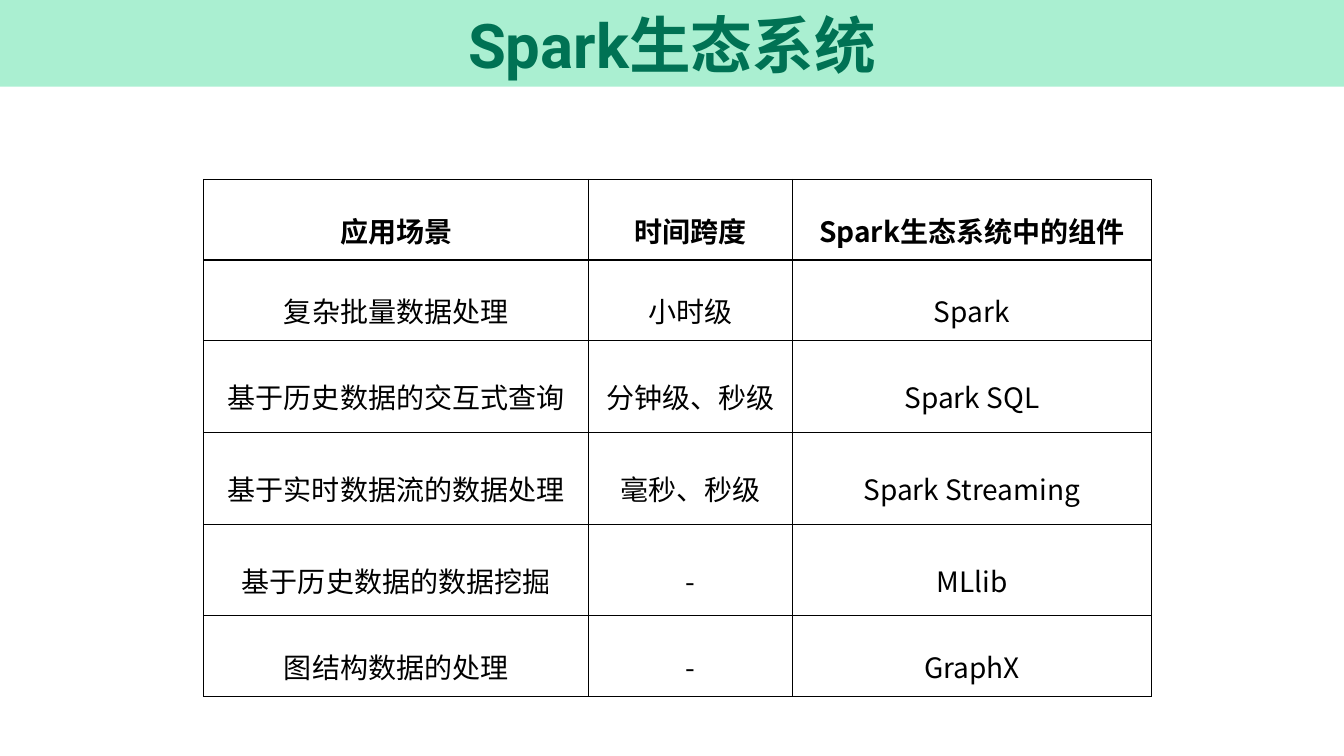
from lxml import etree
from pptx import Presentation
from pptx.dml.color import RGBColor
from pptx.enum.shapes import MSO_SHAPE
from pptx.enum.text import MSO_ANCHOR, PP_ALIGN
from pptx.oxml.ns import qn
from pptx.util import Inches, Pt

RECTANGLE = MSO_SHAPE.RECTANGLE
MIDDLE, BOTTOM = MSO_ANCHOR.MIDDLE, MSO_ANCHOR.BOTTOM
CENTER = PP_ALIGN.CENTER

MINT = RGBColor(0xAA, 0xEF, 0xD1)
GREEN = RGBColor(0x00, 0x72, 0x54)
BLACK = RGBColor(0x00, 0x00, 0x00)

TITLE_FONT = "Roboto"
TABLE_FONT = "Noto Sans CJK JP"

SLIDE_WIDTH, SLIDE_HEIGHT = 13.33, 7.5
TABLE_LEFT, TABLE_TOP = 2.02, 1.78
COLUMN_WIDTHS = [3.82, 2.02, 3.56]
ROW_HEIGHTS = [0.8, 0.8, 0.91, 0.91, 0.91, 0.8]
COMPONENTS = [
    ("应用场景", "时间跨度", "Spark生态系统中的组件"),
    ("复杂批量数据处理", "小时级", "Spark"),
    ("基于历史数据的交互式查询", "分钟级、秒级", "Spark SQL"),
    ("基于实时数据流的数据处理", "毫秒、秒级", "Spark Streaming"),
    ("基于历史数据的数据挖掘", "-", "MLlib"),
    ("图结构数据的处理", "-", "GraphX"),
]


def write_centered(frame, text, font_name, size, color, bold, spacing):
    """Fill a text frame with one centred paragraph."""
    paragraph = frame.paragraphs[0]
    paragraph.text = text
    paragraph.alignment = CENTER
    paragraph.line_spacing = spacing
    font = paragraph.font
    font.name, font.size, font.bold = font_name, Pt(size), bold
    font.color.rgb = color
    # East Asian letters share the table's typeface
    properties = paragraph._p.pPr.find(qn("a:defRPr"))
    etree.SubElement(properties, qn("a:ea"), typeface=TABLE_FONT)


def draw_borders(cell):
    """Draw a thin black line on each side of a cell."""
    properties = cell._tc.get_or_add_tcPr()
    for index, side in enumerate(("lnL", "lnR", "lnT", "lnB")):
        line = etree.Element(qn(f"a:{side}"), w=str(Pt(1)))
        fill = etree.SubElement(line, qn("a:solidFill"))
        etree.SubElement(fill, qn("a:srgbClr"), val=str(BLACK))
        properties.insert(index, line)


def add_title_band(page, text):
    band = page.shapes.add_shape(
        RECTANGLE, 0, 0, Inches(SLIDE_WIDTH), Inches(0.86))
    band.shadow.inherit = False
    band.fill.solid()
    band.fill.fore_color.rgb = MINT
    band.line.fill.background()
    frame = band.text_frame
    frame.word_wrap = True
    frame.vertical_anchor = BOTTOM
    write_centered(frame, text, TITLE_FONT, 44, GREEN, True, 0.9)


def add_component_table(page, rows):
    table = page.shapes.add_table(
        len(rows), len(COLUMN_WIDTHS), Inches(TABLE_LEFT), Inches(TABLE_TOP),
        Inches(sum(COLUMN_WIDTHS)), Inches(sum(ROW_HEIGHTS))).table
    table.horz_banding = False
    for column, width in zip(table.columns, COLUMN_WIDTHS):
        column.width = Inches(width)
    for row, height in zip(table.rows, ROW_HEIGHTS):
        row.height = Inches(height)

    for row_index, texts in enumerate(rows):
        for column_index, text in enumerate(texts):
            cell = table.cell(row_index, column_index)
            cell.fill.background()
            cell.vertical_anchor = MIDDLE
            cell.margin_left = cell.margin_right = Inches(0.08)
            cell.margin_top = cell.margin_bottom = 0
            draw_borders(cell)
            write_centered(cell.text_frame, text, TABLE_FONT, 20, BLACK,
                           row_index == 0, 1.5)


def main():
    deck = Presentation()
    deck.slide_width = Inches(SLIDE_WIDTH)
    deck.slide_height = Inches(SLIDE_HEIGHT)
    page = deck.slides.add_slide(deck.slide_layouts[6])
    add_title_band(page, "Spark生态系统")
    add_component_table(page, COMPONENTS)
    deck.save("out.pptx")


if __name__ == "__main__":
    main()
